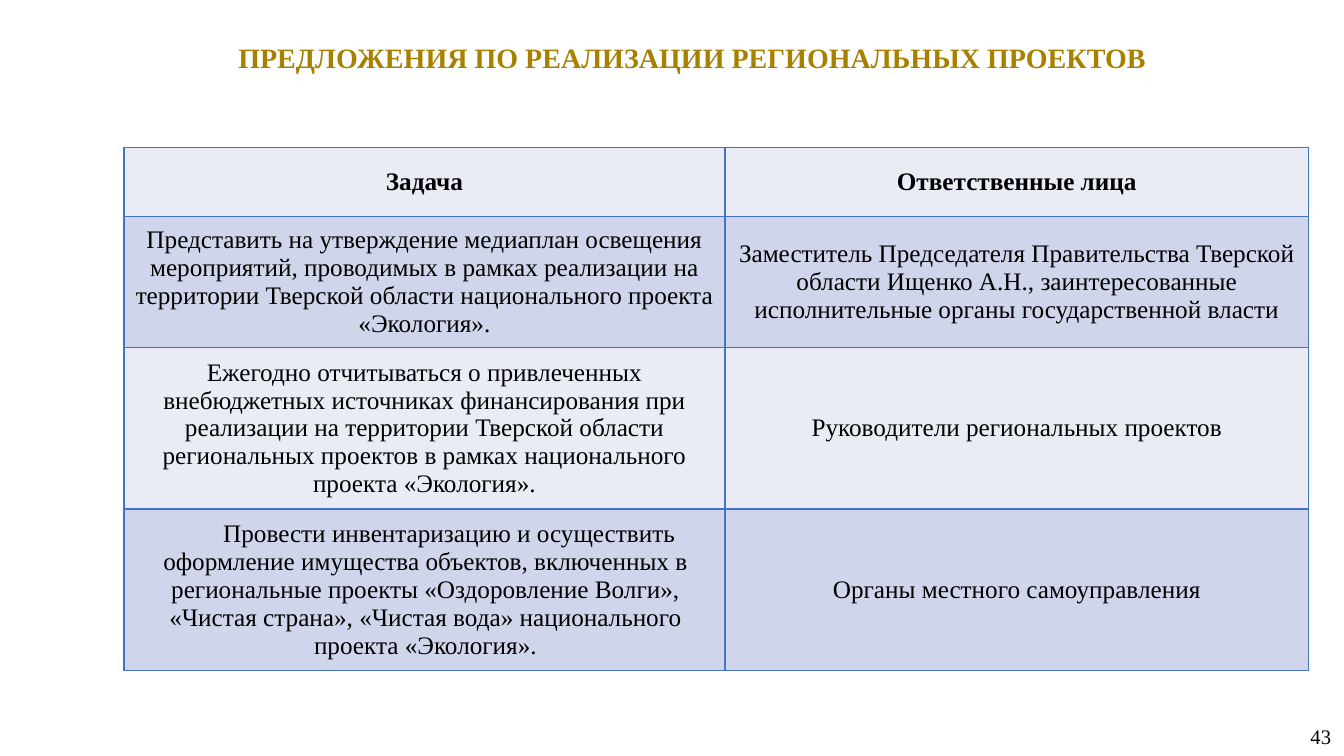
from pptx import Presentation
from pptx.dml.color import RGBColor
from pptx.enum.text import MSO_ANCHOR, MSO_AUTO_SIZE, PP_ALIGN
from pptx.oxml import parse_xml
from pptx.oxml.ns import nsdecls
from pptx.util import Inches, Pt

GOLD = RGBColor(0xA8, 0x80, 0x00)
BLACK = RGBColor(0, 0, 0)
BLUE = RGBColor(0x44, 0x72, 0xC4)
BANDS = [RGBColor(0xE9, 0xEB, 0xF5), RGBColor(0xCF, 0xD5, 0xEA)]
FONT = "Times New Roman"

COLS = [5.96, 5.79]
HEIGHTS = [0.69, 1.3, 1.6, 1.6]
ROWS = [
    ("Задача", "Ответственные лица"),
    ("Представить на утверждение медиаплан освещения мероприятий, проводимых "
     "в рамках реализации на территории Тверской области национального проекта "
     "«Экология».",
     "Заместитель Председателя Правительства Тверской области Ищенко А.Н., "
     "заинтересованные исполнительные органы государственной власти"),
    ("Ежегодно отчитываться о привлеченных внебюджетных источниках "
     "финансирования при реализации на территории Тверской области "
     "региональных проектов в рамках национального проекта «Экология».",
     "Руководители региональных проектов"),
    ("Провести инвентаризацию и осуществить оформление имущества объектов, "
     "включенных в региональные проекты «Оздоровление Волги», «Чистая страна», "
     "«Чистая вода» национального проекта «Экология».",
     "Органы местного самоуправления"),
]


def write(frame, text, size, color=BLACK, bold=False):
    """Fill a text frame with one centred paragraph."""
    frame.text = text
    para = frame.paragraphs[0]
    para.alignment = PP_ALIGN.CENTER
    font = para.runs[0].font
    font.name, font.size, font.bold = FONT, Pt(size), bold
    font.color.rgb = color
    return para


def add_title(slide, text):
    title = slide.shapes.title
    title.left, title.top = Inches(0.94), Inches(0.3)
    title.width, title.height = Inches(11.85), Inches(0.49)
    frame = title.text_frame
    frame.word_wrap = True
    frame.auto_size = MSO_AUTO_SIZE.NONE
    frame.vertical_anchor = MSO_ANCHOR.TOP
    write(frame, text, 20, GOLD, True).line_spacing = 1.15


def add_number(slide, text):
    box = slide.shapes.add_textbox(Inches(12.86), Inches(7.1),
                                   Inches(0.48), Inches(0.4))
    frame = box.text_frame
    frame.word_wrap = True
    frame.vertical_anchor = MSO_ANCHOR.MIDDLE
    write(frame, text, 14.7)


def add_border(cell):
    props = cell._tc.get_or_add_tcPr()
    for side in ("lnL", "lnR", "lnT", "lnB"):
        props.append(parse_xml(
            f'<a:{side} {nsdecls("a")} w="{Pt(1)}"><a:solidFill>'
            f'<a:srgbClr val="{BLUE}"/></a:solidFill></a:{side}>'))


def add_grid(slide):
    grid = slide.shapes.add_table(
        len(ROWS), len(COLS), Inches(1.23), Inches(1.46),
        Inches(sum(COLS)), Inches(sum(HEIGHTS))).table
    for col, width in zip(grid.columns, COLS):
        col.width = Inches(width)
    for i, (texts, height) in enumerate(zip(ROWS, HEIGHTS)):
        grid.rows[i].height = Inches(height)
        for j, text in enumerate(texts):
            cell = grid.cell(i, j)
            add_border(cell)
            cell.fill.solid()
            cell.fill.fore_color.rgb = BANDS[i % 2]
            cell.vertical_anchor = MSO_ANCHOR.MIDDLE
            write(cell.text_frame, text, 18, bold=i == 0)
    # The last task has a first-line indent
    task = grid.cell(len(ROWS) - 1, 0).text_frame.paragraphs[0]
    props = task._p.get_or_add_pPr()
    props.set("marL", str(Inches(0.02)))
    props.set("indent", str(Inches(0.47)))


def main():
    deck = Presentation()
    deck.slide_width, deck.slide_height = Inches(13.33), Inches(7.5)
    slide = deck.slides.add_slide(deck.slide_layouts[5])
    add_title(slide, "ПРЕДЛОЖЕНИЯ ПО РЕАЛИЗАЦИИ РЕГИОНАЛЬНЫХ ПРОЕКТОВ")
    add_number(slide, "43")
    add_grid(slide)
    deck.save("out.pptx")


if __name__ == "__main__":
    main()
